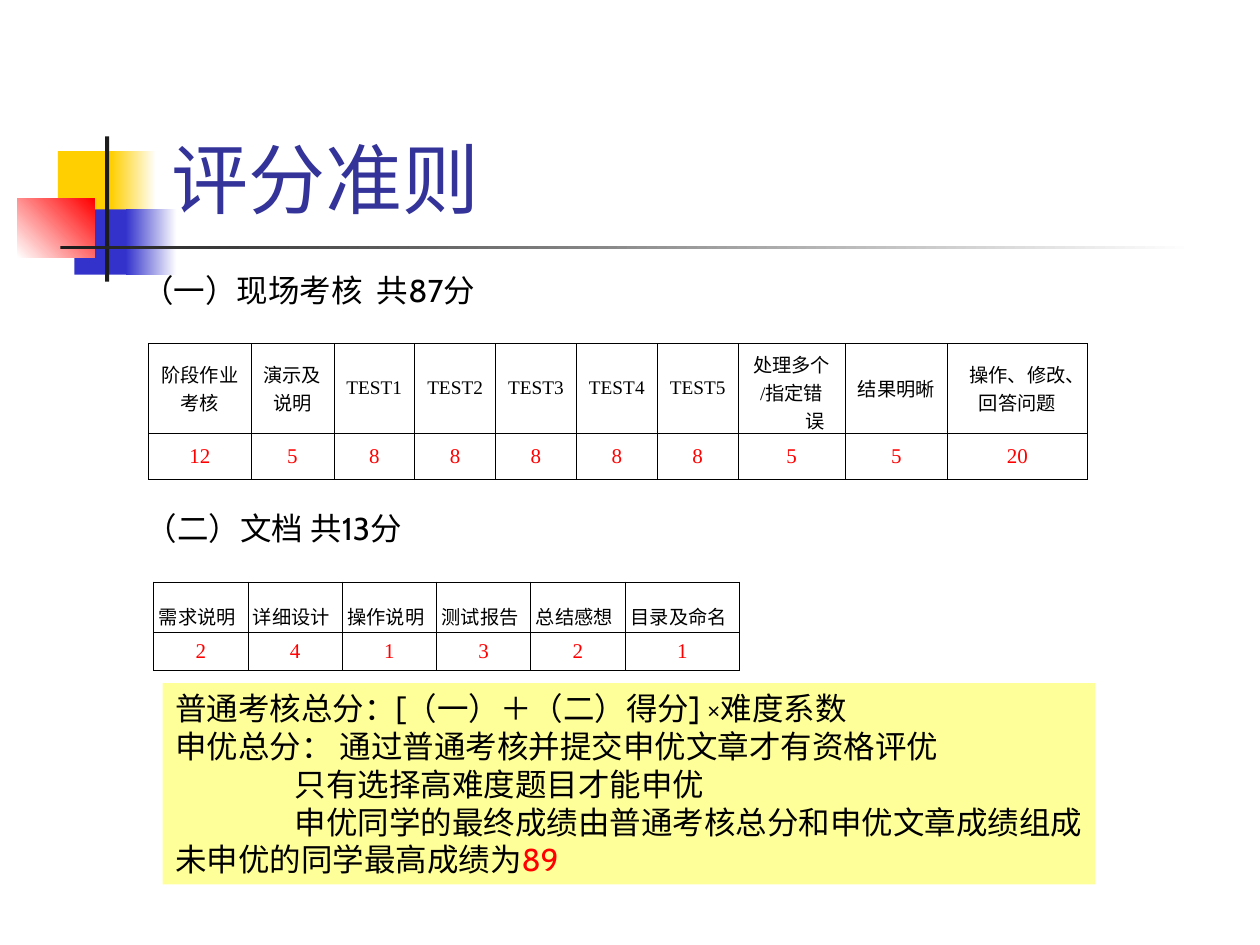
from lxml.etree import SubElement
from pptx import Presentation
from pptx.dml.color import RGBColor
from pptx.enum.shapes import MSO_SHAPE
from pptx.enum.text import MSO_ANCHOR as Anchor, MSO_AUTO_SIZE as AutoSize, PP_ALIGN as Align
from pptx.oxml.ns import qn
from pptx.util import Cm, Pt

WHITE = RGBColor(0xFF, 0xFF, 0xFF)
BLACK = RGBColor(0, 0, 0)
INK = RGBColor(0x1C, 0x1C, 0x1C)
RED = RGBColor(0xFF, 0, 0)
YELLOW = RGBColor(0xFF, 0xCF, 0x01)
BLUE = RGBColor(0x33, 0x33, 0xCC)
TITLE_BLUE = RGBColor(0x33, 0x33, 0x99)
PALE_YELLOW = RGBColor(0xFF, 0xFF, 0x99)


class SlideBuilder:
    font = "Cabin"
    table_font = "Times New Roman"
    label_font = "Noto Sans CJK SC"
    text_size = 18
    header_size = 11
    score_size = 12
    border_width = Pt(0.45)

    def __init__(self, slide):
        self.slide = slide

    def style(self, run, size, color=BLACK, font=None):
        run.font.name = font or self.font
        run.font.size = Pt(size)
        run.font.color.rgb = color

    def title(self, text, left, top, width, height):
        title = self.slide.shapes.title
        title.left, title.top = Cm(left), Cm(top)
        title.width, title.height = Cm(width), Cm(height)
        frame = title.text_frame
        frame.text = text
        frame.auto_size = AutoSize.NONE
        frame.vertical_anchor = Anchor.BOTTOM
        paragraph = frame.paragraphs[0]
        paragraph.alignment = Align.LEFT
        self.style(paragraph.runs[0], 44, TITLE_BLUE)
        # Bring the title in front of the ornament
        title.element.getparent().append(title.element)

    def block(self, left, top, width, height, start, end=None, angle=0):
        shape = self.slide.shapes.add_shape(
            MSO_SHAPE.RECTANGLE, Cm(left), Cm(top), Cm(width), Cm(height))
        shape.shadow.inherit = False
        shape.line.fill.background()
        if end is None:
            shape.fill.solid()
            shape.fill.fore_color.rgb = start
        else:
            shape.fill.gradient()
            shape.fill.gradient_angle = angle
            for stop, color in zip(shape.fill.gradient_stops, (start, end)):
                stop.color.rgb = color
        return shape

    def text(self, shape, lines):
        """Each line is (indent in cm, [(text, color), ...])."""
        frame = shape.text_frame
        frame.word_wrap = False
        frame.auto_size = AutoSize.SHAPE_TO_FIT_TEXT
        frame.vertical_anchor = Anchor.MIDDLE
        for index, (indent, pieces) in enumerate(lines):
            paragraph = frame.add_paragraph() if index else frame.paragraphs[0]
            paragraph.alignment = Align.LEFT
            if indent:
                paragraph._p.get_or_add_pPr().set("marL", str(Cm(indent)))
            for text, color in pieces:
                run = paragraph.add_run()
                run.text = text
                self.style(run, self.text_size, color)

    def heading(self, text, left, top, width):
        box = self.slide.shapes.add_textbox(Cm(left), Cm(top), Cm(width), Cm(1.02))
        self.text(box, [(0, [(text, BLACK)])])

    def borders(self, cell):
        properties = cell._tc.get_or_add_tcPr()
        for side in ("a:lnL", "a:lnR", "a:lnT", "a:lnB"):
            line = SubElement(properties, qn(side), w=str(self.border_width))
            fill = SubElement(line, qn("a:solidFill"))
            SubElement(fill, qn("a:srgbClr"), val=str(BLACK))

    def table(self, left, top, widths, heights, rows, margin,
              header_font, fill=None, hanging=0, end_space=False):
        table = self.slide.shapes.add_table(
            len(rows), len(widths), Cm(left), Cm(top),
            Cm(sum(widths)), Cm(sum(heights))).table
        table.first_row = table.horz_banding = False
        for column, width in zip(table.columns, widths):
            column.width = Cm(width)
        for row, height in zip(table.rows, heights):
            row.height = Cm(height)
        for row_index, texts in enumerate(rows):
            for column_index, text in enumerate(texts):
                cell = table.cell(row_index, column_index)
                cell.margin_left = cell.margin_right = Cm(margin)
                cell.vertical_anchor = Anchor.MIDDLE
                self.borders(cell)
                if fill is None:
                    cell.fill.background()
                else:
                    cell.fill.solid()
                    cell.fill.fore_color.rgb = fill
                cell.text_frame.text = text
                for paragraph in cell.text_frame.paragraphs:
                    paragraph.alignment = Align.CENTER
                    if hanging:
                        properties = paragraph._p.get_or_add_pPr()
                        properties.set("marL", str(Cm(hanging)))
                        properties.set("indent", str(-Cm(hanging)))
                    run = paragraph.runs[0]
                    if row_index:
                        self.style(run, self.score_size, RED, self.table_font)
                        continue
                    self.style(run, self.header_size, BLACK, header_font)
                    if end_space:
                        space = paragraph.add_run()
                        space.text = " "
                        self.style(space, self.text_size, BLACK, "Arial")


def main():
    presentation = Presentation()
    presentation.slide_width, presentation.slide_height = Cm(25.4), Cm(19.05)
    slide = presentation.slides.add_slide(presentation.slide_layouts[5])
    builder = SlideBuilder(slide)

    # Ornament beside and below the title
    for ornament in (
        (1.17, 3.05, 1.22, 1.32, YELLOW),
        (2.24, 3.05, 0.91, 1.32, YELLOW, WHITE),
        (1.5, 4.22, 1.17, 1.32, BLUE),
        (2.54, 4.22, 1.02, 1.32, BLUE, WHITE),
        (0.35, 4.01, 1.56, 1.18, WHITE, RED, 45),
        (2.12, 2.75, 0.08, 2.93, INK),
        (1.22, 4.95, 22.86, 0.08, INK, WHITE),
    ):
        builder.block(*ornament)
    builder.title("评分准则", 3.2, 0.58, 21.64, 4.06)

    # Part one: on-site assessment
    builder.heading("（一）现场考核  共87分", 2.62, 5.33, 7.52)
    tests = [f"TEST{number}" for number in range(1, 6)]
    builder.table(
        3, 6.93, [2.06, 1.67] + [1.63] * 5 + [2.16, 2.06, 2.82], [1.8, 0.94],
        [["阶段作业\n考核", "演示及\n说明", *tests,
          "处理多个\n/指定错误", "结果明晰", "操作、修改、\n回答问题"],
         ["12", "5"] + ["8"] * 5 + ["5", "5", "20"]],
        margin=0.25, header_font=builder.table_font, fill=WHITE, hanging=0.95)

    # Part two: documents
    builder.heading("（二）文档 共13分", 2.69, 10.13, 6.12)
    builder.table(
        3.1, 11.73, [1.9] * 5 + [2.31], [0.79, 0.58],
        [["需求说明", "详细设计", "操作说明", "测试报告", "总结感想", "目录及命名"],
         ["2", "4", "1", "3", "2", "1"]],
        margin=0.03, header_font=builder.label_font, end_space=True)

    # Rules for the total score
    rules = builder.block(3.28, 13.77, 18.8, 4.06, PALE_YELLOW)
    builder.text(rules, [
        (0, [("普通考核总分：[（一）＋（二）得分] ×难度系数", BLACK)]),
        (0, [("申优总分： 通过普通考核并提交申优文章才有资格评优", BLACK)]),
        (2.41, [("只有选择高难度题目才能申优", BLACK)]),
        (2.41, [("申优同学的最终成绩由普通考核总分和申优文章成绩组成", BLACK)]),
        (0, [("未申优的同学最高成绩为", BLACK), ("89", RED)]),
    ])

    presentation.save("out.pptx")


if __name__ == "__main__":
    main()
